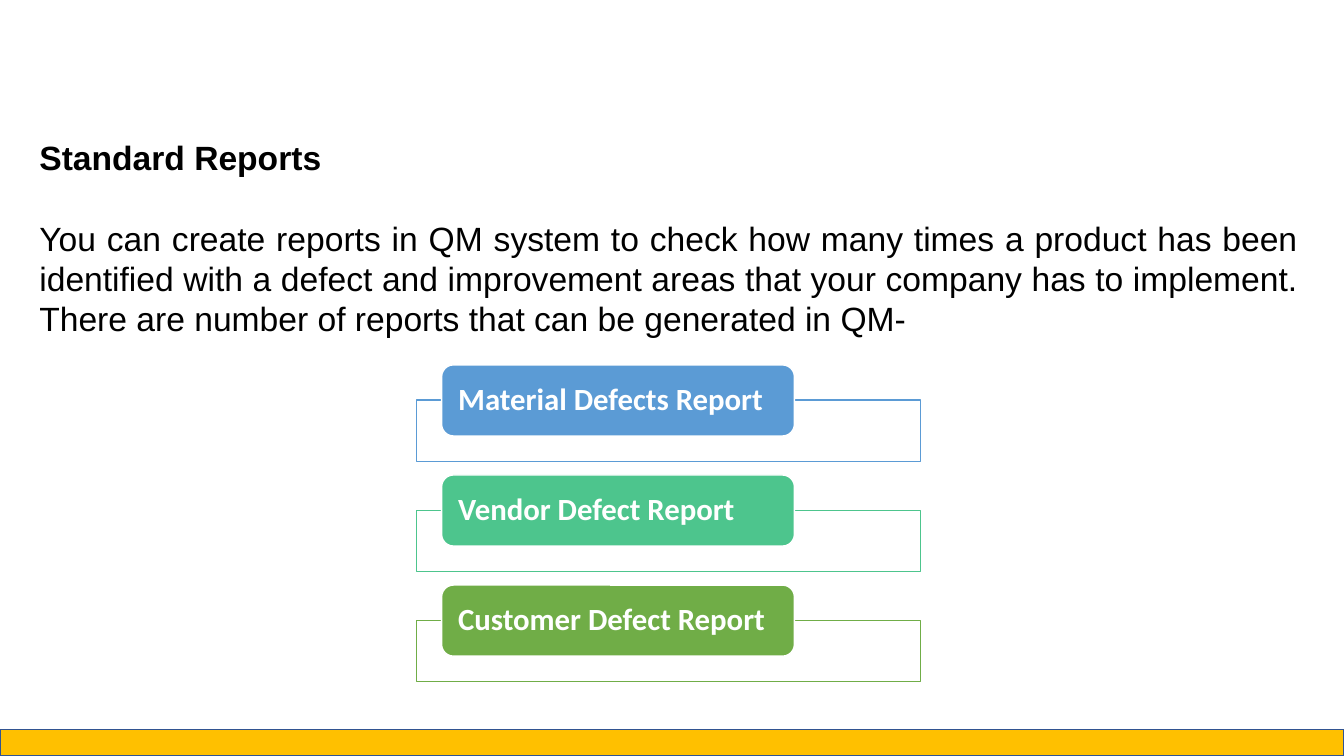
from dataclasses import dataclass

from pptx import Presentation
from pptx import util as u
from pptx.dml.color import RGBColor
from pptx.enum import shapes, text
from pptx.oxml.ns import qn

HEAD = "Standard Reports"
INTRO = (
    "You can create reports in QM system to check how many times a product "
    "has been identified with a defect and improvement areas that your company "
    "has to implement. There are number of reports that can be generated in QM-"
)
REPORTS = [
    ("Material Defects Report", "5B9BD5"),
    ("Vendor Defect Report", "4DC58D"),
    ("Customer Defect Report", "70AD47"),
]


@dataclass(frozen=True)
class Theme:
    ink: str = "000000"
    white: str = "FFFFFF"
    gold: str = "FFC000"
    edge: str = "325491"
    sans: str = "Arial"
    label: str = "Calibri"
    large: int = 24
    small: int = 22
    lead: float = 28.8


T = Theme()
KIND = shapes.MSO_SHAPE

HEAD_BOX = (2.93, 18.13, 93.62, 5.33)
INTRO_BOX = (2.93, 28.8, 93.62, 16)
BAR = (0, 96.5, 100, 3.5)
FRAME = (30.98, 52.93, 37.5, 8.13)
PILL = (32.86, 48.27, 26.25, 9.4)
STEP = 14.56

deck = Presentation()
deck.slide_width = u.Inches(13.33)
deck.slide_height = u.Inches(7.5)
slide = deck.slides.add_slide(deck.slide_layouts[1])


def span(box, row=0):
    x, y, w, h = box
    wide, high = deck.slide_width / 100, deck.slide_height / 100
    return int(x * wide), int((y + row * STEP) * high), int(w * wide), int(h * high)


def write(para, words, font, size, color, bold):
    run = para.add_run()
    run.text = words
    run.font.name = font
    run.font.size = u.Pt(size)
    run.font.bold = bold
    run.font.color.rgb = RGBColor.from_string(color)


def fill(holder, box, words, bold):
    holder.left, holder.top, holder.width, holder.height = span(box)
    frame = holder.text_frame
    frame.auto_size = text.MSO_AUTO_SIZE.NONE
    frame.word_wrap = True
    frame.vertical_anchor = text.MSO_ANCHOR.TOP
    frame.margin_left = frame.margin_right = 0
    frame.margin_top = frame.margin_bottom = 0
    para = frame.paragraphs[0]
    props = para._p.get_or_add_pPr()
    props.set("marL", "0")
    props.set("indent", "0")
    props.append(props.makeelement(qn("a:buNone"), {}))
    para.alignment = text.PP_ALIGN.JUSTIFY
    para.line_spacing = u.Pt(T.lead)
    para.space_before = u.Pt(0)
    write(para, words, T.sans, T.large, T.ink, bold)


def draw(kind, box, color, line, row=0):
    shape = slide.shapes.add_shape(kind, *span(box, row))
    shape.shadow.inherit = False
    shape.fill.solid()
    shape.fill.fore_color.rgb = RGBColor.from_string(color)
    shape.line.color.rgb = RGBColor.from_string(line)
    shape.line.width = u.Pt(1)
    return shape


def report(row, name, color):
    draw(KIND.RECTANGLE, FRAME, T.white, color, row)
    pill = draw(KIND.ROUNDED_RECTANGLE, PILL, color, T.white, row)
    frame = pill.text_frame
    frame.word_wrap = True
    frame.vertical_anchor = text.MSO_ANCHOR.MIDDLE
    frame.margin_left = frame.margin_right = u.Inches(0.13)
    frame.margin_top = frame.margin_bottom = 0
    para = frame.paragraphs[0]
    para.alignment = text.PP_ALIGN.LEFT
    para.line_spacing = 0.9
    write(para, name, T.label, T.small, T.white, True)


fill(slide.shapes.title, HEAD_BOX, HEAD, True)
fill(slide.placeholders[1], INTRO_BOX, INTRO, False)
draw(KIND.RECTANGLE, BAR, T.gold, T.edge)
for row, (name, color) in enumerate(REPORTS):
    report(row, name, color)

deck.save("out.pptx")
